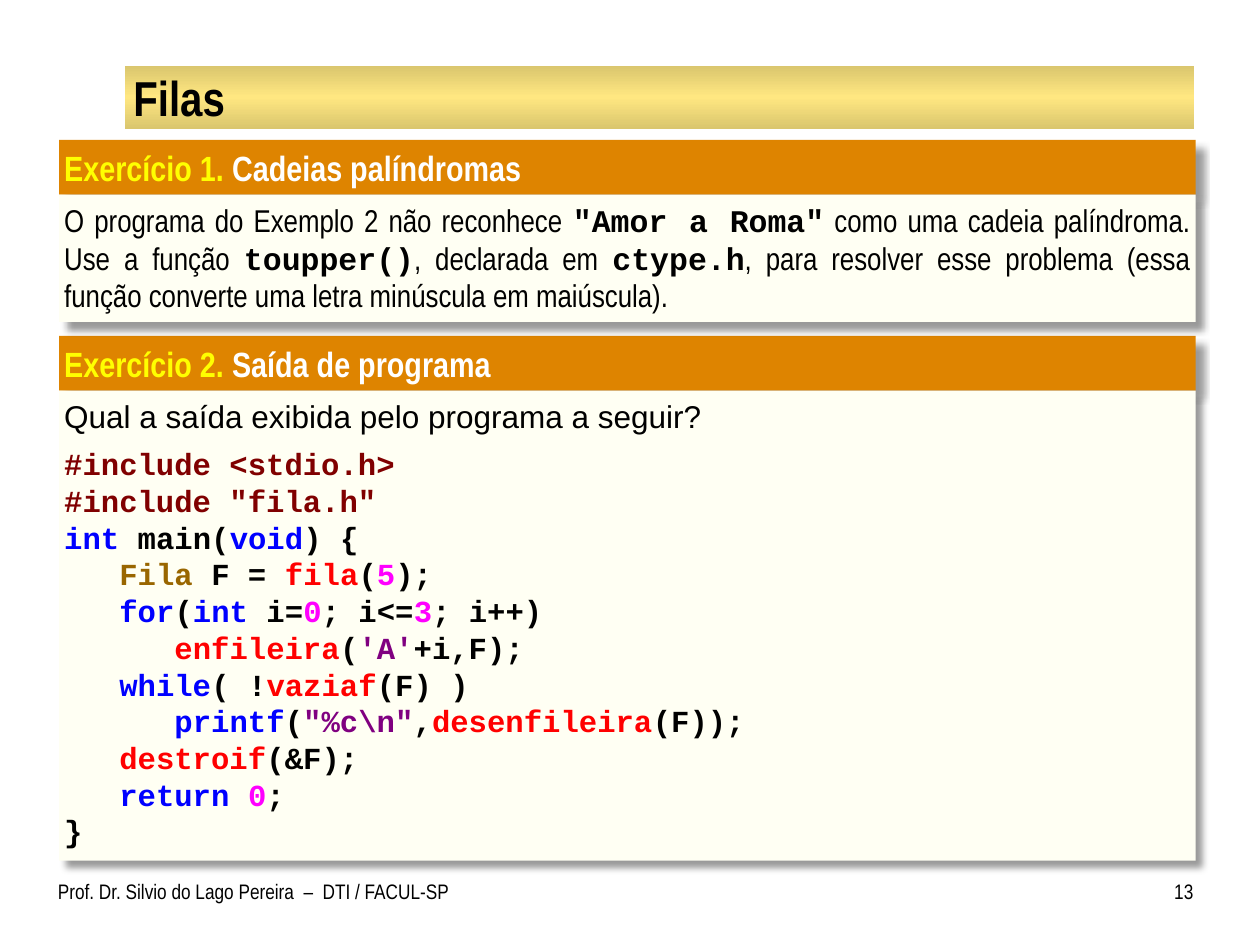
from copy import deepcopy

from lxml import etree
from pptx import Presentation
from pptx.dml.color import RGBColor
from pptx.enum.shapes import MSO_SHAPE
from pptx.enum.text import MSO_ANCHOR, PP_ALIGN
from pptx.oxml.ns import qn
from pptx.util import Pt

RECT = MSO_SHAPE.RECTANGLE
TOP, MIDDLE = MSO_ANCHOR.TOP, MSO_ANCHOR.MIDDLE
LEFT, RIGHT, JUSTIFY = PP_ALIGN.LEFT, PP_ALIGN.RIGHT, PP_ALIGN.JUSTIFY

BLACK = RGBColor(0x00, 0x00, 0x00)
WHITE = RGBColor(0xFF, 0xFF, 0xFF)
YELLOW = RGBColor(0xFF, 0xFF, 0x00)
ORANGE = RGBColor(0xDE, 0x84, 0x00)
IVORY = RGBColor(0xFF, 0xFF, 0xF3)
GOLD = RGBColor(0xFF, 0xE7, 0x81)
BRONZE = RGBColor(0xDA, 0xC6, 0x6E)
MAROON = RGBColor(0x80, 0x00, 0x00)
BLUE = RGBColor(0x00, 0x00, 0xFF)
BROWN = RGBColor(0x99, 0x66, 0x00)
RED = RGBColor(0xFF, 0x00, 0x00)
PINK = RGBColor(0xFF, 0x00, 0xFF)
PURPLE = RGBColor(0x80, 0x00, 0x80)

NARROW, SANS, MONO = "Arial Narrow", "Arial", "Courier New"
HEAD = 31.3
TAB = 31.5

TASK = [
    ("O programa do Exemplo 2 não reconhece ", False),
    ('"Amor a Roma"', True),
    (" como uma cadeia palíndroma. Use a função ", False),
    ("toupper()", True),
    (", declarada em ", False),
    ("ctype.h", True),
    (", para resolver esse problema (essa função converte uma letra "
     "minúscula em maiúscula).", False),
]

CODE = [
    (0, [("#include <stdio.h>", MAROON)]),
    (0, [('#include "fila.h"', MAROON)]),
    (0, [("int", BLUE), (" main(", BLACK), ("void", BLUE), (") {", BLACK)]),
    (1, [("Fila", BROWN), (" F = ", BLACK), ("fila", RED), ("(", BLACK),
         ("5", PINK), (");", BLACK)]),
    (1, [("for", BLUE), ("(", BLACK), ("int", BLUE), (" i=", BLACK),
         ("0", PINK), ("; i<=", BLACK), ("3", PINK), ("; i++)", BLACK)]),
    (2, [("enfileira", RED), ("(", BLACK), ("'A'", PURPLE),
         ("+i,F);", BLACK)]),
    (1, [("while", BLUE), ("( !", BLACK), ("vaziaf", RED), ("(F) )", BLACK)]),
    (2, [("printf", BLUE), ("(", BLACK), ('"%c\\n"', PURPLE), (",", BLACK),
         ("desenfileira", RED), ("(F));", BLACK)]),
    (1, [("destroif", RED), ("(&F);", BLACK)]),
    (1, [("return ", BLUE), ("0", PINK), (";", BLACK)]),
    (0, [("}", BLACK)]),
]


def add_run(para, text, font, size, color=BLACK, bold=False):
    """Append one styled run to a paragraph."""
    run = para.add_run()
    run.text = text
    run.font.name = font
    run.font.size = Pt(size)
    run.font.bold = bold
    run.font.color.rgb = color


def set_frame(shape, left, right, edge=3.6, anchor=TOP):
    """Set the insets of a shape and return its first paragraph."""
    frame = shape.text_frame
    frame.word_wrap = True
    frame.vertical_anchor = anchor
    frame.margin_left, frame.margin_right = Pt(left), Pt(right)
    frame.margin_top = frame.margin_bottom = Pt(edge)
    para = frame.paragraphs[0]
    para.alignment = LEFT
    return para


def add_rect(slide, box):
    """Add a rectangle without line or theme shadow."""
    rect = slide.shapes.add_shape(RECT, *map(Pt, box))
    rect.shadow.inherit = False
    rect.line.fill.background()
    return rect


def add_panel(slide, box, color):
    """Add a filled rectangle with a soft shadow at lower right."""
    panel = add_rect(slide, box)
    panel.fill.solid()
    panel.fill.fore_color.rgb = color
    effect = panel._element.spPr.find(qn("a:effectLst"))
    shade = etree.SubElement(
        effect, qn("a:outerShdw"), blurRad=str(Pt(4)), dist=str(Pt(6)),
        dir="2700000", algn="tl", rotWithShape="0")
    tint = etree.SubElement(shade, qn("a:srgbClr"), val=str(BLACK))
    etree.SubElement(tint, qn("a:alpha"), val="40000")
    return panel


def add_label(slide, box, text, size, bold=False, left=0, right=0,
              edge=3.6, anchor=TOP, align=LEFT):
    """Add a text box that holds one run."""
    label = slide.shapes.add_textbox(*map(Pt, box))
    para = set_frame(label, left, right, edge, anchor)
    para.alignment = align
    add_run(para, text, NARROW, size, bold=bold)


def add_title(slide, box, text):
    """Draw the golden band and the title on it."""
    band = add_rect(slide, box)
    band.fill.gradient()
    band.fill.gradient_angle = 90
    edge, core = band.fill.gradient_stops
    edge.color.rgb, core.color.rgb = BRONZE, GOLD
    core.position = 0.5
    stops = band._element.spPr.find(qn("a:gradFill")).find(qn("a:gsLst"))
    last = deepcopy(stops[0])
    last.set("pos", "100000")
    stops.append(last)
    add_label(slide, box, text, 28, bold=True, left=5, right=5, edge=0.7,
              anchor=MIDDLE)


def add_card(slide, box, number, name):
    """Draw a headed card and return its body and first paragraph."""
    x, y, w, h = box
    head = add_panel(slide, (x, y, w, HEAD), ORANGE)
    body = add_panel(slide, (x, y + HEAD, w, h - HEAD), IVORY)
    para = set_frame(head, 2.9, 7.2)
    add_run(para, f"Exercício {number}.", NARROW, 20, YELLOW, True)
    add_run(para, f" {name}", NARROW, 20, WHITE, True)
    return body, set_frame(body, 2.9, 2.9)


def add_task(slide, box):
    """Fill the first exercise with justified prose."""
    _, para = add_card(slide, box, 1, "Cadeias palíndromas")
    para.alignment = JUSTIFY
    for text, mono in TASK:
        add_run(para, text, MONO if mono else NARROW, 18, bold=mono)


def add_code(slide, box):
    """Fill the second exercise with a question and its program."""
    body, para = add_card(slide, box, 2, "Saída de programa")
    add_run(para, "Qual a saída exibida pelo programa a seguir?", SANS, 18)
    for row, (level, parts) in enumerate(CODE):
        para = body.text_frame.add_paragraph()
        para.alignment = LEFT
        para.space_before = Pt(0 if row else 6)
        para._p.get_or_add_pPr().set("marL", str(Pt(level * TAB)))
        for text, color in parts:
            add_run(para, text, MONO, 17.5, color, True)


def add_foot(slide, box):
    """Place the author at the left and the page number at the right."""
    x, y, w, h = box
    add_label(slide, (x, y, 260, h),
              "Prof. Dr. Silvio do Lago Pereira  –  DTI / FACUL-SP", 12)
    add_label(slide, (x + w - 30, y, 30, h), "13", 12, align=RIGHT)


def main():
    """Build and save the slide."""
    deck = Presentation()
    deck.slide_width, deck.slide_height = Pt(720), Pt(540)
    slide = deck.slides.add_slide(deck.slide_layouts[6])
    add_title(slide, (71.3, 37.5, 611.2, 36), "Filas")
    add_code(slide, (33.8, 192, 649.4, 299.8))
    add_foot(slide, (33.1, 498.2, 648.8, 30.2))
    add_task(slide, (33.8, 79.9, 649.4, 104))
    deck.save("out.pptx")


if __name__ == "__main__":
    main()
